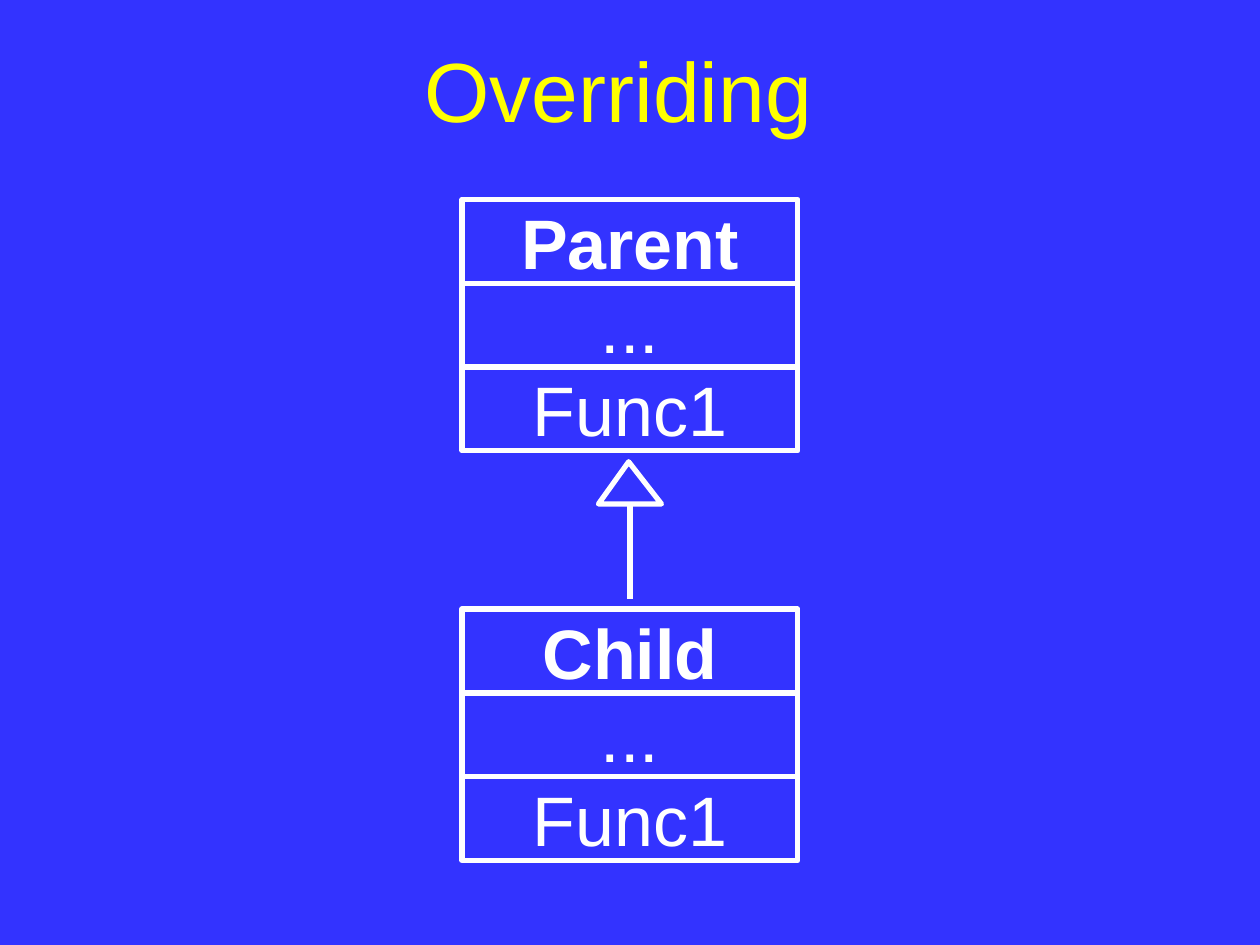
from pptx import Presentation
from pptx.dml.color import RGBColor
from pptx.enum.shapes import MSO_CONNECTOR, MSO_SHAPE
from pptx.enum.text import MSO_ANCHOR, PP_ALIGN
from pptx.oxml.ns import qn
from pptx.util import Cm, Pt
from lxml.etree import SubElement

TITLE = "Overriding "
BOXES = [
    ("Parent", ["...", "Func1"], 4.02),
    ("Child", ["...", "Func1"], 12.28),
]
THEME = {
    "font": "Arial",
    "back": RGBColor.from_string("3333FF"),
    "title": RGBColor.from_string("FFFF00"),
    "ink": RGBColor.from_string("FFFFFF"),
    "large": Pt(48),
    "body": Pt(40),
    "line": Pt(3),
}
WIDE, HIGH = 25.4, 19.05
BOX_W, ROW_H = 6.77, 1.69
MID = WIDE / 2
HEAD = {"top": 9.31, "wide": 1.27, "high": 0.85}
STEM_END = 12.07


def put_text(shape, text, size=THEME["body"], color=THEME["ink"], bold=False, wrap=False):
    frame = shape.text_frame
    frame.word_wrap = wrap
    frame.vertical_anchor = MSO_ANCHOR.MIDDLE
    para = frame.paragraphs[0]
    para.alignment = PP_ALIGN.CENTER
    run = para.add_run()
    run.text = text
    font = run.font
    font.name, font.size, font.bold = THEME["font"], size, bold
    font.color.rgb = color


def ink_line(shape):
    shape.line.color.rgb = THEME["ink"]
    shape.line.width = THEME["line"]


def add_form(slide, kind, top, wide, high):
    form = slide.shapes.add_shape(kind, Cm(MID - wide / 2), Cm(top), Cm(wide), Cm(high))
    form.shadow.inherit = False
    form.fill.background()
    ink_line(form)
    return form


def add_class(slide, name, parts, top):
    for row, text in enumerate([name, *parts]):
        box = add_form(slide, MSO_SHAPE.RECTANGLE, top + row * ROW_H, BOX_W, ROW_H)
        put_text(box, text, bold=row == 0)


def add_arrow(slide):
    base = HEAD["top"] + HEAD["high"]
    stem = slide.shapes.add_connector(
        MSO_CONNECTOR.STRAIGHT, Cm(MID), Cm(STEM_END), Cm(MID), Cm(base))
    ink_line(stem)
    SubElement(stem._element.spPr, qn("a:effectLst"))
    tip = add_form(slide, MSO_SHAPE.ISOSCELES_TRIANGLE, HEAD["top"], HEAD["wide"], HEAD["high"])
    tip.adjustments[0] = 0.48


def main():
    deck = Presentation()
    deck.slide_width, deck.slide_height = Cm(WIDE), Cm(HIGH)
    slide = deck.slides.add_slide(deck.slide_layouts[6])
    fill = slide.background.fill
    fill.solid()
    fill.fore_color.rgb = THEME["back"]

    title = slide.shapes.add_textbox(Cm(1.27), Cm(0.21), Cm(WIDE - 2.54), Cm(3.18))
    put_text(title, TITLE, size=THEME["large"], color=THEME["title"], wrap=True)
    for name, parts, top in BOXES:
        add_class(slide, name, parts, top)
    add_arrow(slide)
    deck.save("out.pptx")


if __name__ == "__main__":
    main()
